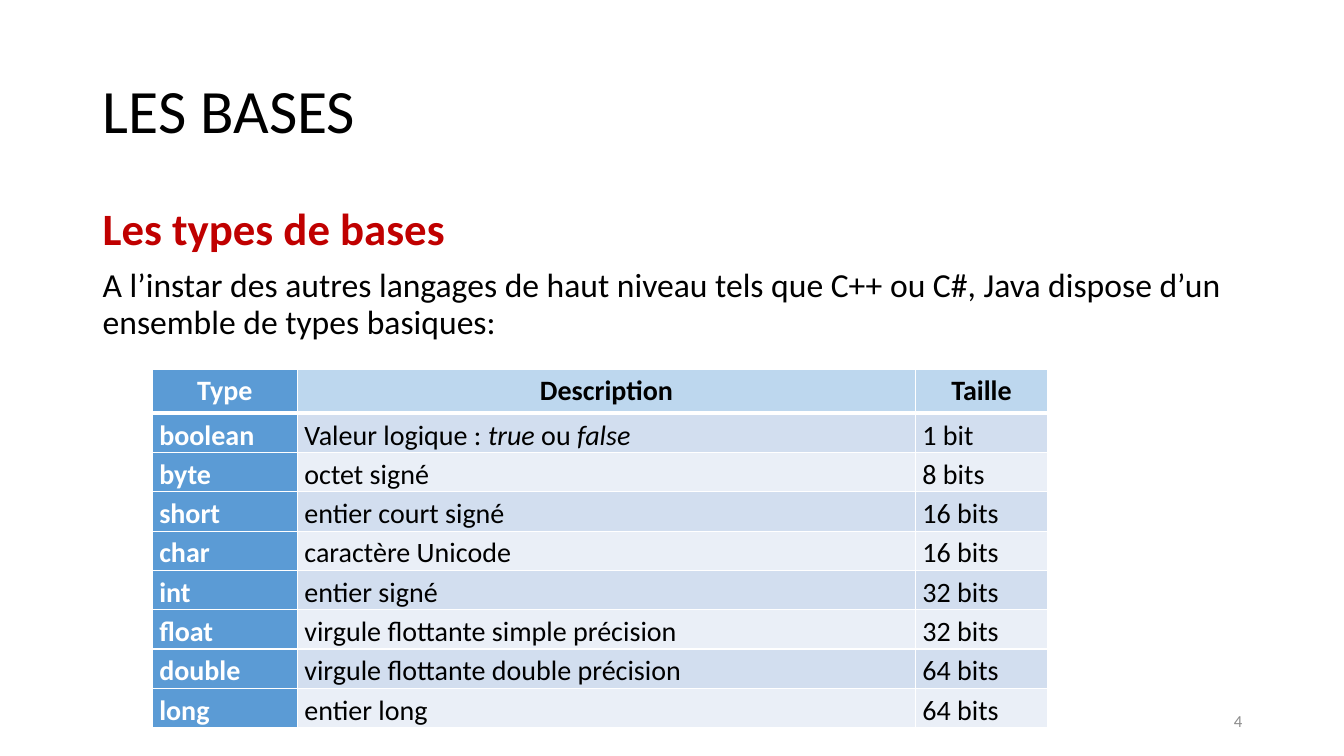
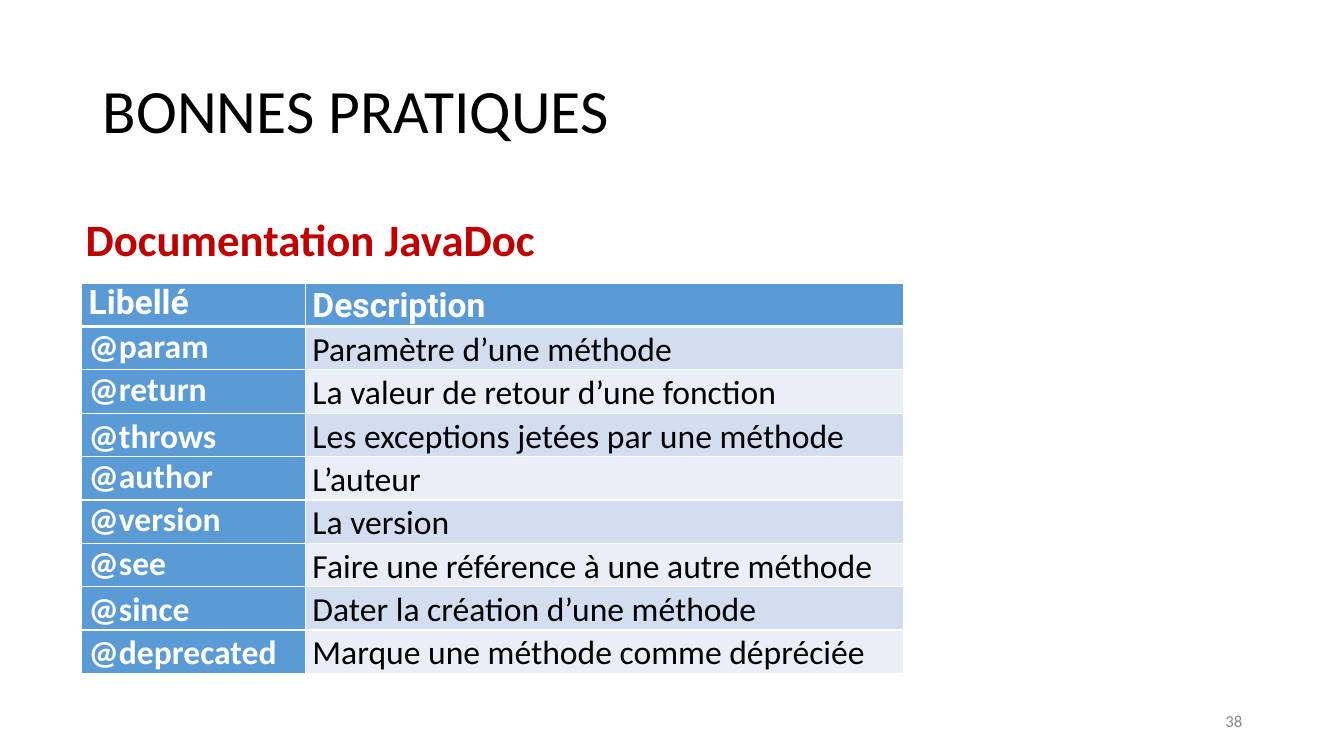
"""Build two course slides, each with a heading and a reference table."""
from lxml import etree
from pptx import Presentation
from pptx import util as u
from pptx.dml.color import RGBColor
from pptx.enum import text
from pptx.oxml.ns import qn

BLACK, WHITE, RED, GREY = "000000", "FFFFFF", "C00000", "8C8C8C"
BLUE, PALE, BANDS = "5B9BD5", "BDD7EE", ("EAEFF7", "D2DEEF")
LEFT, CENTER, RIGHT = text.PP_ALIGN.LEFT, text.PP_ALIGN.CENTER, text.PP_ALIGN.RIGHT
LOOSE, SPACED, TALL = {"line": 1.15, "before": 5}, {"after": 3.8}, {"line": 1.07}

SLIDES = [
    {
        "title": "LES BASES",
        "number": "4",
        "body": (0.92, 2, 11.5, 1.6),
        "heading": "Les types de bases",
        "intro": "A l’instar des autres langages de haut niveau tels que C++ ou C#, "
                 "Java dispose d’un ensemble de types basiques:",
        "table": {
            "at": (1.51, 3.66), "cols": (1.44, 6.13, 1.31), "heights": (0.44, 0.39),
            "size": 20, "head_font": "Calibri", "head_align": CENTER,
            "head_fill": PALE, "head_color": BLACK,
            "label": LOOSE, "cell": LOOSE, "cell_style_labels": (),
            "rows": [
                ("Type", "Description", "Taille"),
                ("boolean", "Valeur logique : *true *ou *false*", "1 bit"),
                ("byte", "octet signé", "8 bits"),
                ("short", "entier court signé", "16 bits"),
                ("char", "caractère Unicode", "16 bits"),
                ("int", "entier signé", "32 bits"),
                ("float", "virgule flottante simple précision", "32 bits"),
                ("double", "virgule flottante double précision", "64 bits"),
                ("long", "entier long", "64 bits"),
            ],
        },
    },
    {
        "title": "BONNES PRATIQUES",
        "number": "38",
        "body": (0.75, 2.11, 6.45, 0.65),
        "heading": "Documentation JavaDoc",
        "intro": None,
        "table": {
            "at": (0.81, 2.81), "cols": (2.22, 5.93), "heights": (0.43, 0.43),
            "size": 24, "head_font": "Roboto", "head_align": LEFT,
            "head_fill": BLUE, "head_color": WHITE,
            "label": SPACED, "cell": TALL,
            "cell_style_labels": ("@throws", "@since", "@deprecated"),
            "rows": [
                ("Libellé", "Description"),
                ("@param", "Paramètre d’une méthode"),
                ("@return", "La valeur de retour d’une fonction"),
                ("@throws", "Les exceptions jetées par une méthode"),
                ("@author", "L’auteur"),
                ("@version", "La version"),
                ("@see", "Faire une référence à une autre méthode"),
                ("@since", "Dater la création d’une méthode"),
                ("@deprecated", "Marque une méthode comme dépréciée"),
            ],
        },
    },
]


def rgb(value):
    """Turn a hex string into a colour."""
    return RGBColor.from_string(value)


def write(p, words, size, color=BLACK, bold=False, font="Calibri", align=LEFT,
          line=None, before=0, after=0):
    """Fill a paragraph; words between asterisks are italic."""
    for i, part in enumerate(words.split("*")):
        if part:
            r = p.add_run()
            r.text = part
            if i % 2:
                r.font.italic = True
    p.font.name, p.font.size, p.font.bold = font, u.Pt(size), bold
    p.font.color.rgb = rgb(color)
    p.alignment, p.line_spacing = align, line
    p.space_before, p.space_after = u.Pt(before), u.Pt(after)


def add_box(s, at, anchor=text.MSO_ANCHOR.TOP):
    """Add a wrapping text box and return its frame."""
    tf = s.shapes.add_textbox(*map(u.Inches, at)).text_frame
    tf.word_wrap, tf.vertical_anchor = True, anchor
    return tf


def set_borders(cell, widths):
    """Draw white borders of the given widths: left, right, top, bottom."""
    tc_pr = cell._tc.get_or_add_tcPr()
    for i, (side, width) in enumerate(zip("LRTB", widths)):
        ln = etree.Element(qn(f"a:ln{side}"), w=str(u.Pt(width)))
        fill = etree.SubElement(ln, qn("a:solidFill"))
        etree.SubElement(fill, qn("a:srgbClr"), val=WHITE)
        tc_pr.insert(i, ln)


def add_table(s, t):
    """Add a table with a header row, a label column and banded rows."""
    rows, cols = t["rows"], t["cols"]
    head, rest = t["heights"]
    size = sum(cols), head + rest * (len(rows) - 1)
    table = s.shapes.add_table(len(rows), len(cols),
                               *map(u.Inches, t["at"] + size)).table
    for column, width in zip(table.columns, cols):
        column.width = u.Inches(width)
    for i, row in enumerate(rows):
        table.rows[i].height = u.Inches(rest if i else head)
        for j, words in enumerate(row):
            cell = table.cell(i, j)
            cell.margin_left = cell.margin_right = u.Inches(0.07)
            cell.margin_top = cell.margin_bottom = 0
            is_label = j == 0
            fill, color = BANDS[i % 2], BLACK
            if is_label:
                fill, color = BLUE, WHITE
            elif i == 0:
                fill, color = t["head_fill"], t["head_color"]
            cell.fill.solid()
            cell.fill.fore_color.rgb = rgb(fill)
            set_borders(cell, (1, 1, 3 if i == 1 else 1, 3 if i == 0 else 1))
            tight = is_label and words not in t["cell_style_labels"]
            write(cell.text_frame.paragraphs[0], words, t["size"], color,
                  bold=is_label or i == 0,
                  font="Calibri" if i else t["head_font"],
                  align=LEFT if i else t["head_align"],
                  **t["label" if tight else "cell"])


def add_slide(prs, data):
    """Add one slide with title, heading, number and table."""
    s = prs.slides.add_slide(prs.slide_layouts[5])
    title = s.shapes.title
    title.left, title.top, title.width, title.height = map(
        u.Inches, (0.92, 0.4, 11.5, 1.45))
    title.text_frame.vertical_anchor = text.MSO_ANCHOR.MIDDLE
    write(title.text_frame.paragraphs[0], data["title"], 44, line=0.9)

    tf = add_box(s, data["body"])
    write(tf.paragraphs[0], data["heading"], 32, RED, bold=True, line=0.9, before=10)
    if data["intro"]:
        write(tf.add_paragraph(), data["intro"], 24, line=0.9, before=10)

    tf = add_box(s, (9.42, 6.95, 3, 0.4), text.MSO_ANCHOR.MIDDLE)
    write(tf.paragraphs[0], data["number"], 12, GREY, align=RIGHT)
    add_table(s, data["table"])


def main():
    """Build and save the presentation."""
    prs = Presentation()
    prs.slide_width, prs.slide_height = u.Inches(13.33), u.Inches(7.5)
    for data in SLIDES:
        add_slide(prs, data)
    prs.save("out.pptx")


if __name__ == "__main__":
    main()
